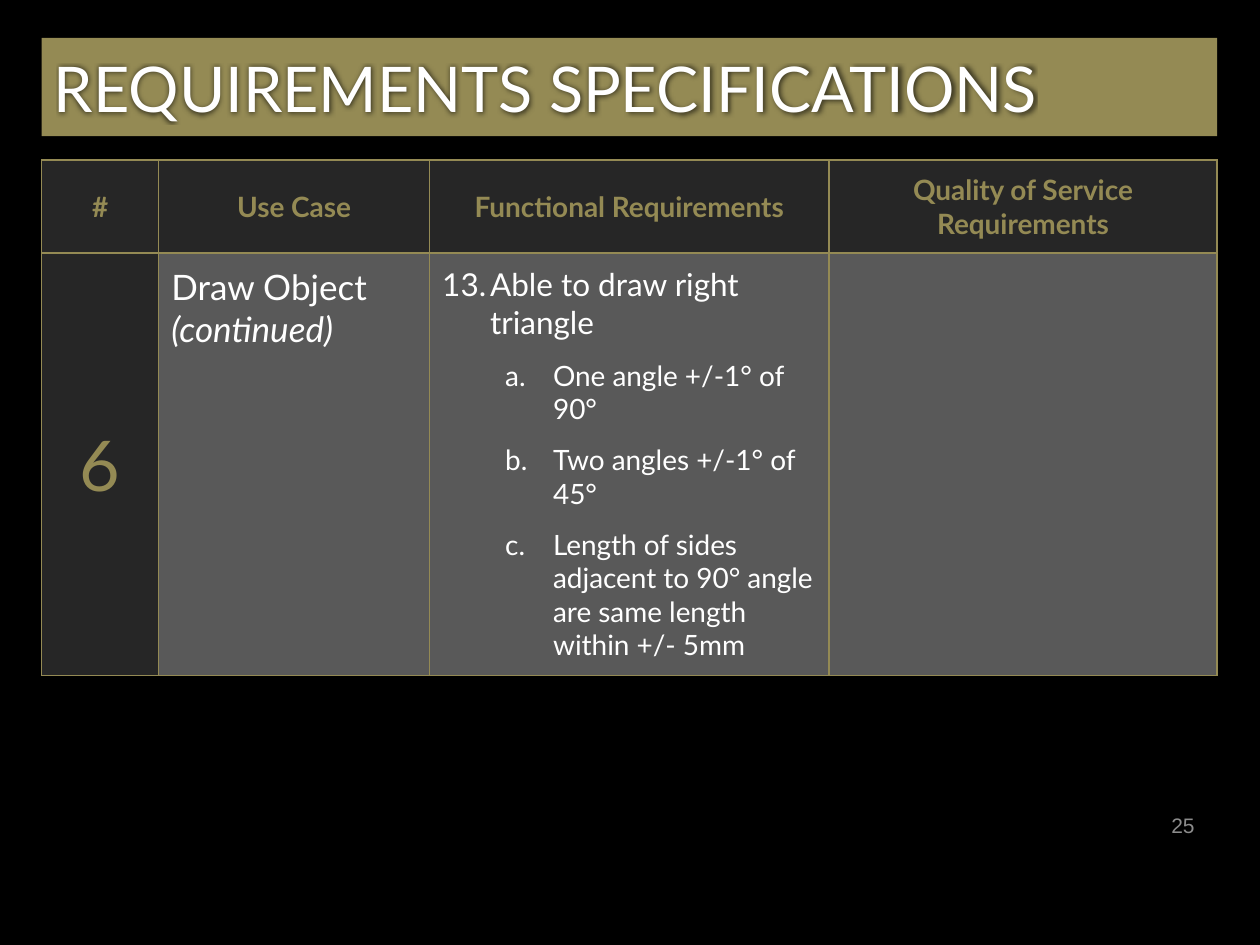
from dataclasses import dataclass

from lxml import etree
from pptx import Presentation
from pptx.dml.color import RGBColor
from pptx.enum import shapes, text
from pptx.oxml import ns
from pptx.util import Inches, Pt


@dataclass(frozen=True)
class Theme:
    font: str = "Lato"
    number_font: str = "Arial"
    black: str = "000000"
    white: str = "FFFFFF"
    gold: str = "948A54"
    dark: str = "262626"
    grey: str = "595959"
    muted: str = "8C8C8C"
    title: int = 36
    index: int = 40
    use_case: int = 20
    requirement: int = 18
    detail: int = 16
    number: int = 12


T = Theme()
HEADERS = ["#", "Use Case", "Functional Requirements", "Quality of Service Requirements"]
COLUMNS = [0.93, 2.15, 3.17, 3.08]
ROWS = [0.74, 3.35]
REQUIREMENT = "Able to draw right triangle"
DETAILS = [
    "One angle +/-1° of 90°",
    "Two angles +/-1° of 45°",
    "Length of sides adjacent to 90° angle are same length within +/- 5mm",
]


def sub(parent, tag, **attrs):
    return etree.SubElement(parent, ns.qn(tag), attrs)


def style(p, size, color, font=T.font, align=None, bold=False, italic=False):
    p.alignment = align
    for r in p.runs:
        f = r.font
        f.name, f.size, f.bold, f.italic = font, Pt(size), bold, italic
        f.color.rgb = RGBColor.from_string(color)


def fill(s, color):
    s.fill.solid()
    s.fill.fore_color.rgb = RGBColor.from_string(color)


def add_glow(r):
    effects = etree.Element(ns.qn("a:effectLst"))
    glow = sub(effects, "a:glow", rad=str(Pt(4)))
    color = sub(glow, "a:srgbClr", val=T.black)
    sub(color, "a:alpha", val="60000")
    r.font.fill._xPr.find(ns.qn("a:solidFill")).addnext(effects)


def add_borders(cell):
    pr = cell._tc.get_or_add_tcPr()
    for i, side in enumerate(("a:lnL", "a:lnR", "a:lnT", "a:lnB")):
        ln = etree.Element(ns.qn(side), w=str(Pt(1)))
        sub(sub(ln, "a:solidFill"), "a:srgbClr", val=T.gold)
        pr.insert(i, ln)


def number(p, scheme, left, start=1):
    pr = p._p.get_or_add_pPr()
    pr.set("marL", str(Inches(left)))
    pr.set("indent", str(Inches(-0.38)))
    p.space_after = Pt(10)
    sub(pr, "a:buFont", typeface="+mj-lt")
    sub(pr, "a:buAutoNum", type=scheme, startAt=str(start))


def title_bar(slide, x, y, w, h):
    s = slide.shapes.add_shape(
        shapes.MSO_SHAPE.ROUNDED_RECTANGLE, Inches(x), Inches(y), Inches(w), Inches(h))
    s.adjustments[0] = 0
    s.shadow.inherit = False
    fill(s, T.gold)
    s.line.fill.background()
    tf = s.text_frame
    tf.text = "REQUIREMENTS SPECIFICATIONS"
    tf.vertical_anchor = text.MSO_ANCHOR.MIDDLE
    p = tf.paragraphs[0]
    style(p, T.title, T.white, align=text.PP_ALIGN.LEFT)
    add_glow(p.runs[0])


def page_number(slide, x, y, w, h):
    s = slide.shapes.add_textbox(Inches(x), Inches(y), Inches(w), Inches(h))
    tf = s.text_frame
    tf.word_wrap = True
    tf.vertical_anchor = text.MSO_ANCHOR.MIDDLE
    tf.text = "25"
    style(tf.paragraphs[0], T.number, T.muted, T.number_font, text.PP_ALIGN.RIGHT)


def requirements_table(slide, x, y, w, h):
    table = slide.shapes.add_table(
        len(ROWS), len(COLUMNS), Inches(x), Inches(y), Inches(w), Inches(h)).table
    for column, share in zip(table.columns, COLUMNS):
        column.width = Inches(w * share / sum(COLUMNS))
    for row, share in zip(table.rows, ROWS):
        row.height = Inches(h * share / sum(ROWS))

    body = ["6", "Draw Object\n(continued)", "\n".join([REQUIREMENT, *DETAILS]), ""]
    for i, values in enumerate([HEADERS, body]):
        for j, value in enumerate(values):
            cell = table.cell(i, j)
            cell.text_frame.text = value
            cell.margin_left = cell.margin_right = Inches(0.1)
            cell.margin_top = cell.margin_bottom = Inches(0.1)
            label = i == 0 or j == 0
            fill(cell, T.dark if label else T.grey)
            add_borders(cell)
            if label:
                cell.vertical_anchor = text.MSO_ANCHOR.MIDDLE
                style(cell.text_frame.paragraphs[0], T.detail if i == 0 else T.index,
                      T.gold, align=text.PP_ALIGN.CENTER, bold=i == 0)

    name, note = table.cell(1, 1).text_frame.paragraphs
    style(name, T.use_case, T.white)
    style(note, T.use_case, T.white, italic=True)

    requirement, *details = table.cell(1, 2).text_frame.paragraphs
    number(requirement, "arabicPeriod", 0.38, 13)
    style(requirement, T.requirement, T.white)
    for p in details:
        p.level = 1
        number(p, "alphaLcPeriod", 0.88)
        style(p, T.detail, T.white)


def main():
    prs = Presentation()
    prs.slide_width, prs.slide_height = Inches(10), Inches(7.5)
    slide = prs.slides.add_slide(prs.slide_layouts[6])
    fill(slide.background, T.black)
    title_bar(slide, 0.33, 0.3, 9.33, 0.78)
    page_number(slide, 7.25, 6.35, 2.33, 0.4)
    requirements_table(slide, 0.33, 1.27, 9.33, sum(ROWS))
    prs.save("out.pptx")


if __name__ == "__main__":
    main()
